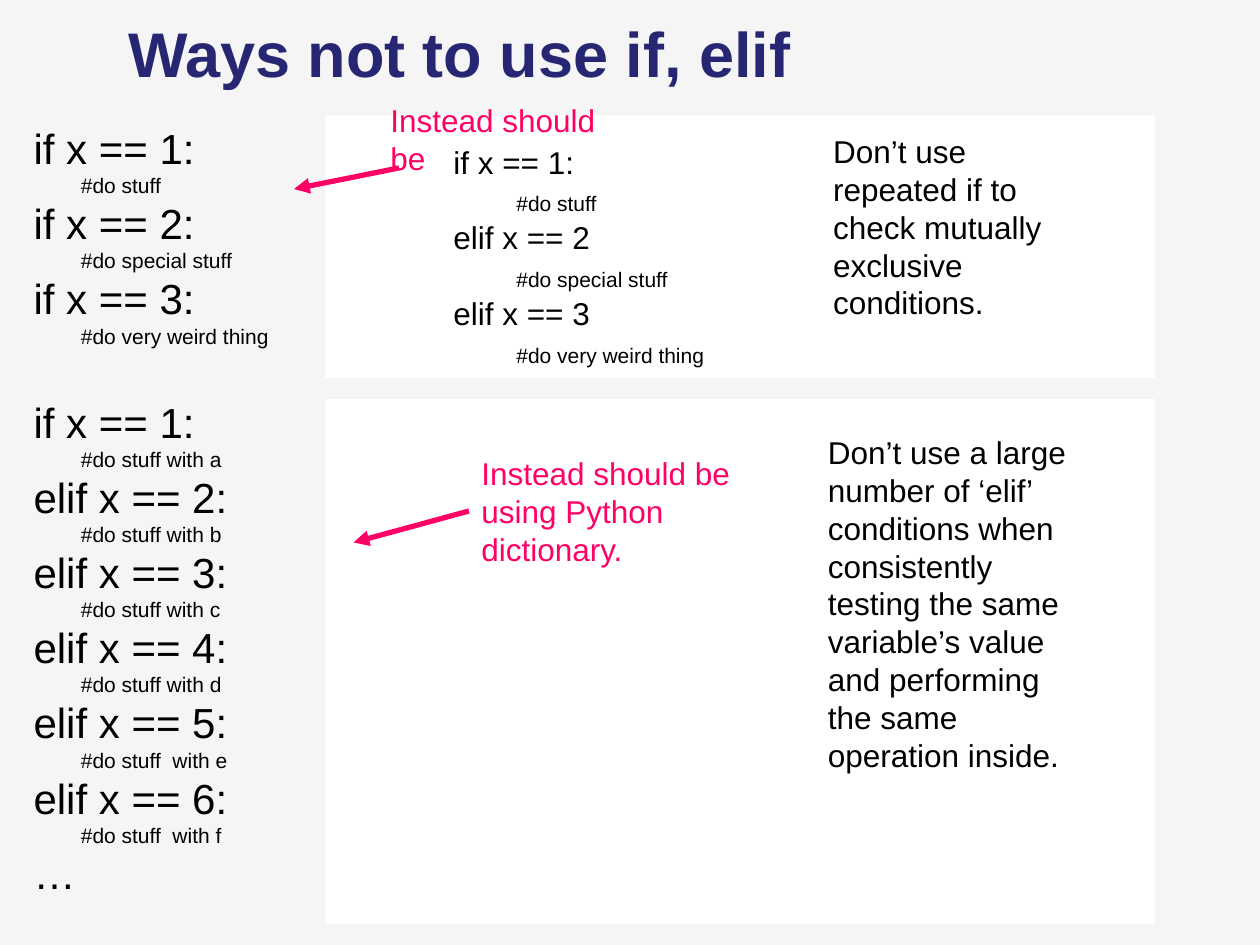
from pptx import Presentation
from pptx.dml.color import RGBColor
from pptx.enum.shapes import MSO_CONNECTOR, MSO_SHAPE
from pptx.enum.text import MSO_ANCHOR, MSO_AUTO_SIZE, PP_ALIGN
from pptx.oxml.ns import qn
from pptx.util import Pt
from lxml.etree import SubElement

BACKGROUND = RGBColor(0xF5, 0xF5, 0xF6)
NAVY = RGBColor(0x26, 0x26, 0x73)
PINK = RGBColor(0xFF, 0x00, 0x66)
BLACK = RGBColor(0x00, 0x00, 0x00)
WHITE = RGBColor(0xFF, 0xFF, 0xFF)
FONT = "Arial"
CODE_SIZE, COMMENT_SIZE, NOTE_SIZE = 24, 12, 18
CODE_INDENT = 27

REPEATED_IF = [
    ("if x == 1:", "#do stuff"),
    ("if x == 2:", "#do special stuff"),
    ("if x == 3:", "#do very weird thing"),
]
LONG_ELIF = [
    ("if x == 1:", "#do stuff with a"),
    ("elif x == 2:", "#do stuff with b"),
    ("elif x == 3:", "#do stuff with c"),
    ("elif x == 4:", "#do stuff with d"),
    ("elif x == 5:", "#do stuff  with e"),
    ("elif x == 6:", "#do stuff  with f"),
]
BETTER_IF = [
    ("if x == 1:", "#do stuff"),
    ("elif x == 2", "#do special stuff"),
    ("elif x == 3", "#do very weird thing"),
]


def place(shape, left, top, width, height):
    shape.left, shape.top = Pt(left), Pt(top)
    shape.width, shape.height = Pt(width), Pt(height)


def add_span(para, text, size, color=BLACK, bold=False):
    span = para.add_run()
    span.text = text
    span.font.name = FONT
    span.font.size = Pt(size)
    span.font.bold = bold
    span.font.color.rgb = color


def next_para(frame, first):
    return frame.paragraphs[0] if first else frame.add_paragraph()


def add_title(page, left, top, width, height):
    title = page.shapes.title
    place(title, left, top, width, height)
    frame = title.text_frame
    frame.auto_size = MSO_AUTO_SIZE.NONE
    frame.vertical_anchor = MSO_ANCHOR.MIDDLE
    para = frame.paragraphs[0]
    para.alignment = PP_ALIGN.LEFT
    add_span(para, "Ways not to use if, elif", 36, NAVY, True)


def add_code_list(page, left, top, width, height):
    body = page.placeholders[1]
    place(body, left, top, width, height)
    frame = body.text_frame
    frame.auto_size = MSO_AUTO_SIZE.NONE
    lines = []
    for block in (REPEATED_IF, LONG_ELIF):
        for number, (code, comment) in enumerate(block):
            starts_block = bool(lines) and number == 0
            lines.append((code, CODE_SIZE, 33 if starts_block else 5.6))
            lines.append(("\t" + comment, COMMENT_SIZE, 2.8))
    lines.append(("…", CODE_SIZE, 5.6))
    for index, (text, size, space) in enumerate(lines):
        para = next_para(frame, index == 0)
        para.line_spacing = 0.8
        para.space_before = Pt(space)
        properties = para._p.get_or_add_pPr()
        properties.set("marL", str(Pt(CODE_INDENT)))
        properties.set("indent", str(-Pt(CODE_INDENT)))
        SubElement(properties, qn("a:buNone"))
        add_span(para, text, size)


def add_panel(page, left, top, width, height):
    panel = page.shapes.add_shape(
        MSO_SHAPE.RECTANGLE, Pt(left), Pt(top), Pt(width), Pt(height))
    panel.shadow.inherit = False
    panel.fill.solid()
    panel.fill.fore_color.rgb = WHITE
    panel.line.fill.background()


def add_text_frame(page, left, top, width, height, wrap):
    box = page.shapes.add_textbox(Pt(left), Pt(top), Pt(width), Pt(height))
    box.text_frame.word_wrap = wrap
    box.text_frame.auto_size = MSO_AUTO_SIZE.SHAPE_TO_FIT_TEXT
    return box.text_frame


def add_note(page, left, top, width, height, lines, color=BLACK, wrap=True):
    frame = add_text_frame(page, left, top, width, height, wrap)
    for index, text in enumerate(lines):
        add_span(next_para(frame, index == 0), text, NOTE_SIZE, color)


def add_better_code(page, left, top, width, height):
    frame = add_text_frame(page, left, top, width, height, False)
    for index, (code, comment) in enumerate(BETTER_IF):
        add_span(next_para(frame, index == 0), code, NOTE_SIZE)
        para = frame.add_paragraph()
        add_span(para, "\t", NOTE_SIZE)
        add_span(para, comment, COMMENT_SIZE)


def add_arrow(page, start_x, start_y, end_x, end_y):
    arrow = page.shapes.add_connector(
        MSO_CONNECTOR.STRAIGHT, Pt(start_x), Pt(start_y), Pt(end_x), Pt(end_y))
    arrow.line.color.rgb = PINK
    arrow.line.width = Pt(3)
    SubElement(arrow.line._get_or_add_ln(), qn("a:tailEnd"), type="triangle")
    SubElement(arrow._element.spPr, qn("a:effectLst"))


def add_repeated_if_region(page, left, top):
    add_arrow(page, left + 42, top + 30, left - 18, top + 42)
    add_note(page, left + 30, top - 12, 156, 29,
             ["Instead should be"], PINK, False)
    add_better_code(page, left + 66, top + 12, 195, 160)
    add_note(page, left + 283, top + 6, 156, 117,
             ["Don’t use repeated if to check mutually exclusive conditions."])


def add_long_elif_region(page, left, top):
    add_arrow(page, left + 82, top + 64, left + 16, top + 82)
    add_note(page, left + 82, top + 28, 160, 73,
             ["Instead should be", "using Python", "dictionary."], PINK, False)
    add_note(page, left + 280, top + 16, 156, 204,
             ["Don’t use a large number of ‘elif’ conditions when consistently "
              "testing the same variable’s value and performing the same "
              "operation inside."])


def main():
    deck = Presentation()
    deck.slide_width, deck.slide_height = Pt(720), Pt(540)
    page = deck.slides.add_slide(deck.slide_layouts[1])
    page.background.fill.solid()
    page.background.fill.fore_color.rgb = BACKGROUND

    add_title(page, 66, 12, 630, 36)
    add_code_list(page, 12, 72, 684, 426)
    add_panel(page, 186, 228, 474, 300)
    add_panel(page, 186, 66, 474, 150)
    add_repeated_if_region(page, 186, 66)
    add_long_elif_region(page, 186, 228)

    deck.save("out.pptx")


if __name__ == "__main__":
    main()
